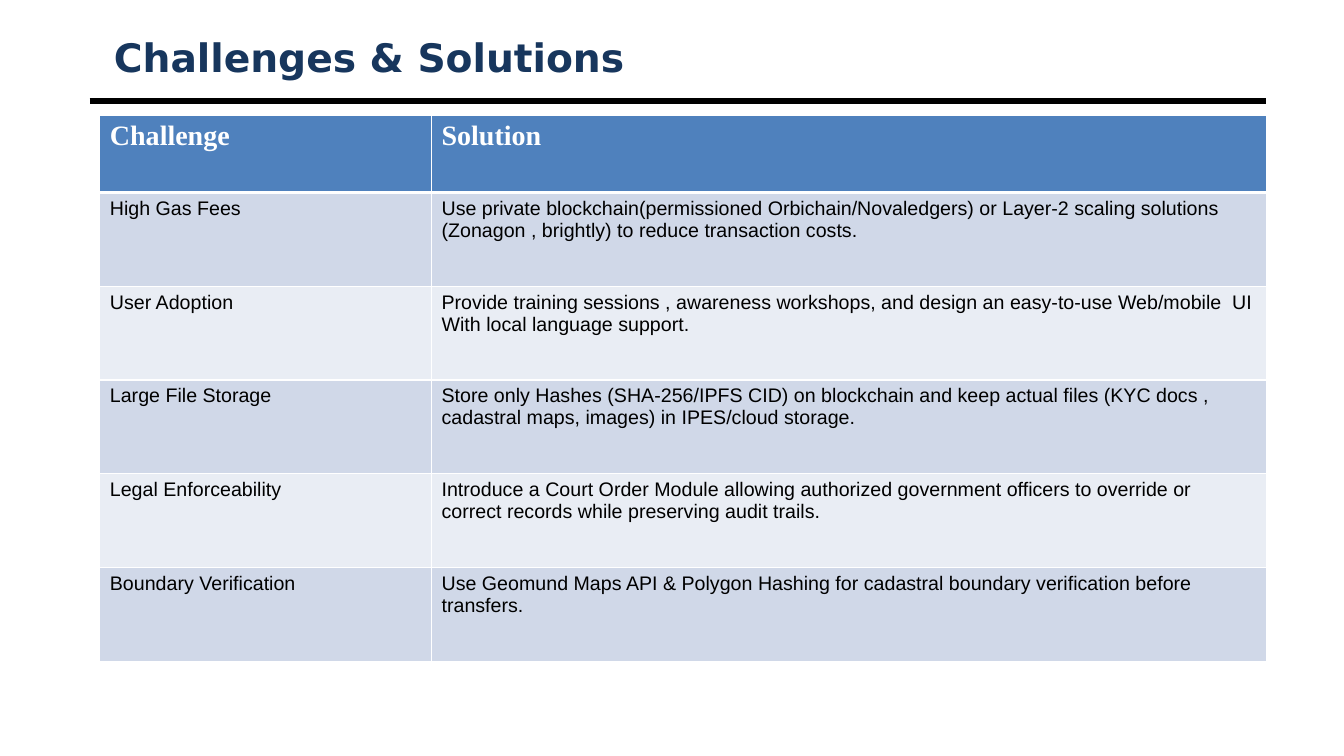
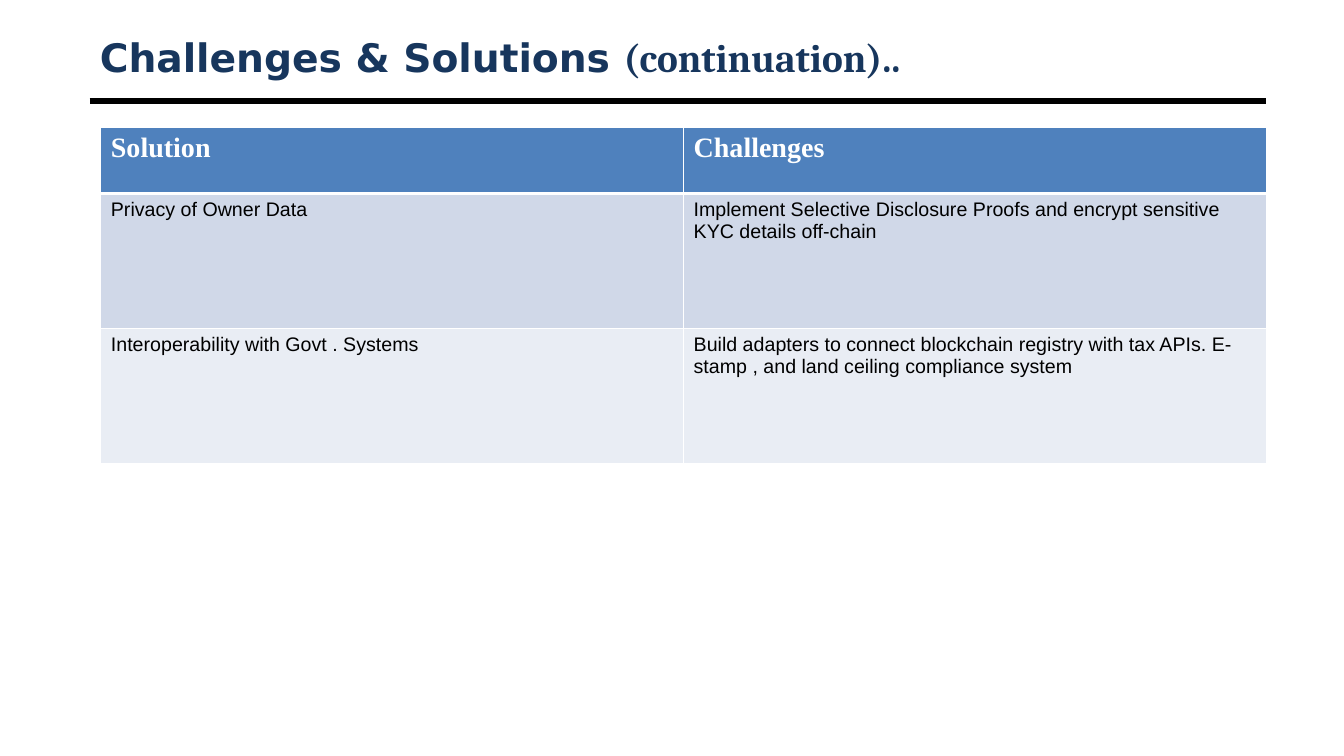
from dataclasses import dataclass

from lxml import etree
from pptx import Presentation
from pptx.dml.color import RGBColor
from pptx.enum.shapes import MSO_CONNECTOR
from pptx.enum.text import MSO_ANCHOR, MSO_AUTO_SIZE, PP_ALIGN
from pptx.oxml.ns import qn
from pptx.util import Pt

PX = 9144
SLIDE_W, SLIDE_H = 1333, 750
TITLE_ONLY = 5
STRAIGHT = MSO_CONNECTOR.STRAIGHT
MIDDLE = MSO_ANCHOR.MIDDLE
LEFT = PP_ALIGN.LEFT
NO_AUTOFIT = MSO_AUTO_SIZE.NONE

NAVY, BLACK, WHITE = "17365D", "000000", "FFFFFF"
HEADER_FILL = "4F81BD"
BAND_FILLS = ("D0D8E8", "E9EDF4")
TITLE_FONT, TITLE_NOTE_FONT = "DejaVu Sans", "Cambria"
HEADER_FONT, BODY_FONT = "Times New Roman", "Arial"
BAND_LEFT, BAND_WIDTH = 89, 1167
TITLE_TOP, TITLE_HEIGHT, RULE_TOP = 30, 53, 100
THIN, THICK = 1, 3


@dataclass(frozen=True)
class TableSlide:
    """One slide with a title and a two-column table, lengths in px."""
    title: str
    left: int
    top: int
    col_widths: tuple[int, ...]
    header_height: int
    row_height: int
    rows: tuple[tuple[str, ...], ...]
    title_note: str = ""
    title_inset: int = 10


SLIDES = (
    TableSlide(
        title="Challenges & Solutions", title_inset=24,
        left=99, top=114, col_widths=(329, 828), header_height=77, row_height=93,
        rows=(
            ("Challenge", "Solution"),
            ("High Gas Fees",
             "Use private blockchain(permissioned Orbichain/Novaledgers) or Layer-2 scaling solutions\n"
             "(Zonagon , brightly) to reduce transaction costs."),
            ("User Adoption",
             "Provide training sessions , awareness workshops, and design an easy-to-use Web/mobile  UI\n"
             "With local language support."),
            ("Large File Storage",
             "Store only Hashes (SHA-256/IPFS CID) on blockchain and keep actual files (KYC docs , "
             "cadastral maps, images) in IPES/cloud storage."),
            ("Legal Enforceability",
             "Introduce a Court Order Module allowing authorized government officers to override or "
             "correct records while preserving audit trails."),
            ("Boundary Verification",
             "Use Geomund Maps API & Polygon Hashing for cadastral boundary verification before transfers."),
        ),
    ),
    TableSlide(
        title="Challenges & Solutions ", title_note="(continuation)..",
        left=100, top=126, col_widths=(578, 578), header_height=66, row_height=134,
        rows=(
            ("Solution", "Challenges"),
            ("Privacy of Owner Data",
             "Implement Selective Disclosure Proofs and encrypt sensitive KYC details off-chain"),
            ("Interoperability with Govt . Systems",
             "Build adapters to connect blockchain registry with tax APIs. E-stamp , "
             "and land ceiling compliance system"),
        ),
    ),
)


def px(n: int) -> int:
    """Turn px into EMU."""
    return n * PX


def rgb(color: str) -> RGBColor:
    """Turn a hex string into a colour."""
    return RGBColor.from_string(color)


def add_run(p, text: str, *, font: str, size: int, color: str, bold: bool = False) -> None:
    """Add a formatted run to a paragraph."""
    r = p.add_run()
    r.text = text
    r.font.name = font
    r.font.size = Pt(size)
    r.font.bold = bold
    r.font.color.rgb = rgb(color)


def add_title(s, spec: TableSlide) -> None:
    """Place and fill the title placeholder."""
    sp = s.shapes.title
    sp.left, sp.top = px(BAND_LEFT), px(TITLE_TOP)
    sp.width, sp.height = px(BAND_WIDTH), px(TITLE_HEIGHT)
    tf = sp.text_frame
    tf.word_wrap = True
    tf.auto_size = NO_AUTOFIT
    tf.vertical_anchor = MIDDLE
    tf.margin_left = px(spec.title_inset)
    p = tf.paragraphs[0]
    p.alignment = LEFT
    for text, font in ((spec.title, TITLE_FONT), (spec.title_note, TITLE_NOTE_FONT)):
        if text:
            add_run(p, text, font=font, size=28, color=NAVY, bold=True)


def add_rule(s) -> None:
    """Draw the heavy line under the title."""
    rule = s.shapes.add_connector(STRAIGHT, px(BAND_LEFT), px(RULE_TOP),
                                  px(BAND_LEFT + BAND_WIDTH), px(RULE_TOP))
    rule.line.color.rgb = rgb(BLACK)
    rule.line.width = Pt(4.5)
    etree.SubElement(rule.element.spPr, qn("a:effectLst"))


def set_borders(cell, *, top: int, bottom: int) -> None:
    """Give a cell white borders, widths in points."""
    tc_pr = cell._tc.get_or_add_tcPr()
    for side, width in (("L", THIN), ("R", THIN), ("T", top), ("B", bottom)):
        ln = etree.SubElement(tc_pr, qn(f"a:ln{side}"), w=str(Pt(width)))
        fill = etree.SubElement(ln, qn("a:solidFill"))
        etree.SubElement(fill, qn("a:srgbClr"), val=WHITE)


def fill_cell(cell, text: str, row: int) -> None:
    """Write and format one cell according to its row."""
    header = row == 0
    set_borders(cell, top=THICK if row == 1 else THIN, bottom=THICK if header else THIN)
    cell.fill.solid()
    cell.fill.fore_color.rgb = rgb(HEADER_FILL if header else BAND_FILLS[(row - 1) % 2])
    tf = cell.text_frame
    for i, line in enumerate(text.split("\n")):
        p = tf.add_paragraph() if i else tf.paragraphs[0]
        if header:
            add_run(p, line, font=HEADER_FONT, size=20, color=WHITE, bold=True)
        else:
            add_run(p, line, font=BODY_FONT, size=14, color=BLACK)


def add_table(s, spec: TableSlide) -> None:
    """Draw the table with a header row and banded rows."""
    heights = [spec.header_height] + [spec.row_height] * (len(spec.rows) - 1)
    table = s.shapes.add_table(len(heights), len(spec.col_widths), px(spec.left), px(spec.top),
                               px(sum(spec.col_widths)), px(sum(heights))).table
    for column, width in zip(table.columns, spec.col_widths):
        column.width = px(width)
    for i, (height, texts) in enumerate(zip(heights, spec.rows)):
        table.rows[i].height = px(height)
        for j, text in enumerate(texts):
            fill_cell(table.cell(i, j), text, i)


def main() -> None:
    """Build the slides and save them."""
    prs = Presentation()
    prs.slide_width, prs.slide_height = px(SLIDE_W), px(SLIDE_H)
    for spec in SLIDES:
        s = prs.slides.add_slide(prs.slide_layouts[TITLE_ONLY])
        add_rule(s)
        add_title(s, spec)
        add_table(s, spec)
    prs.save("out.pptx")


if __name__ == "__main__":
    main()
